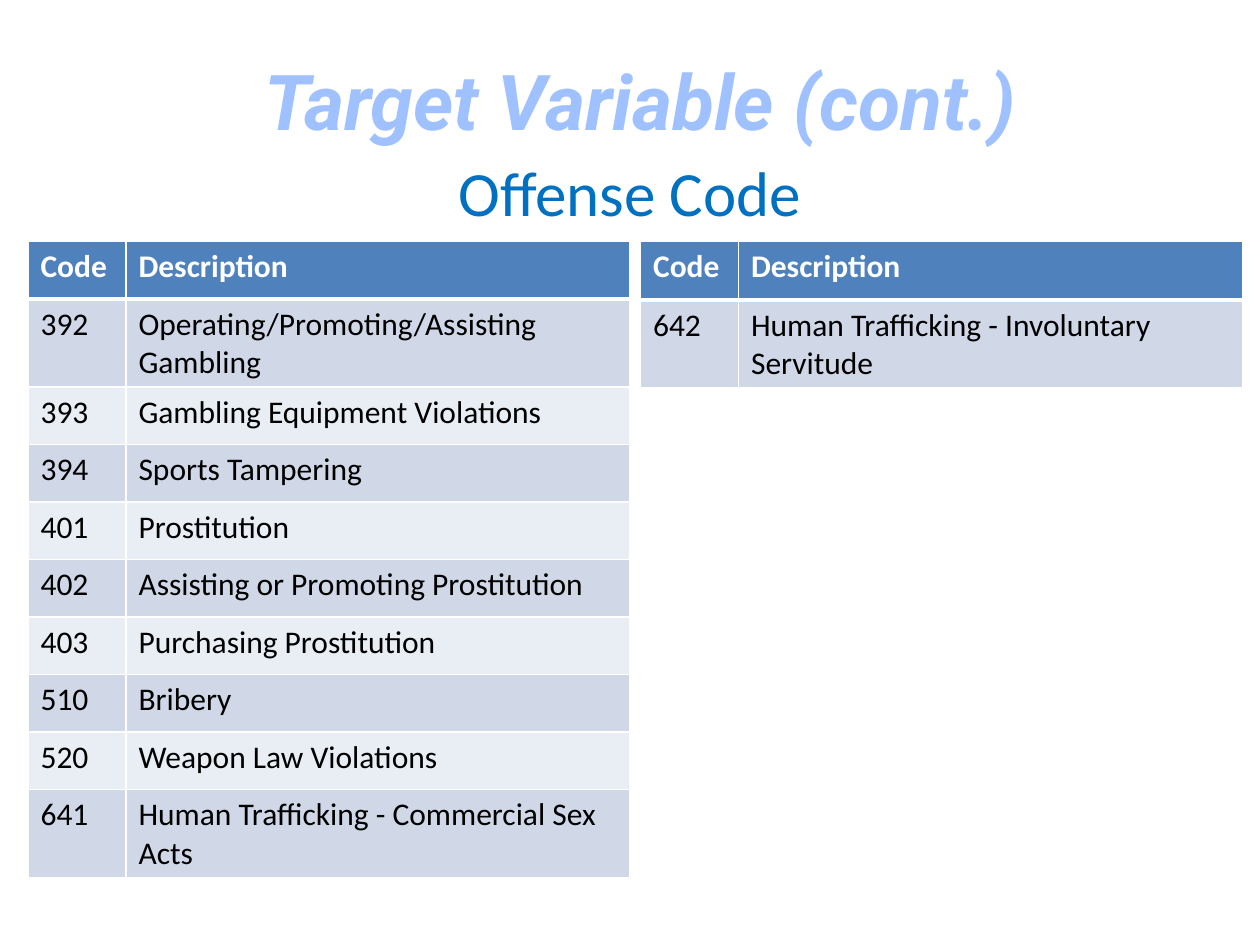
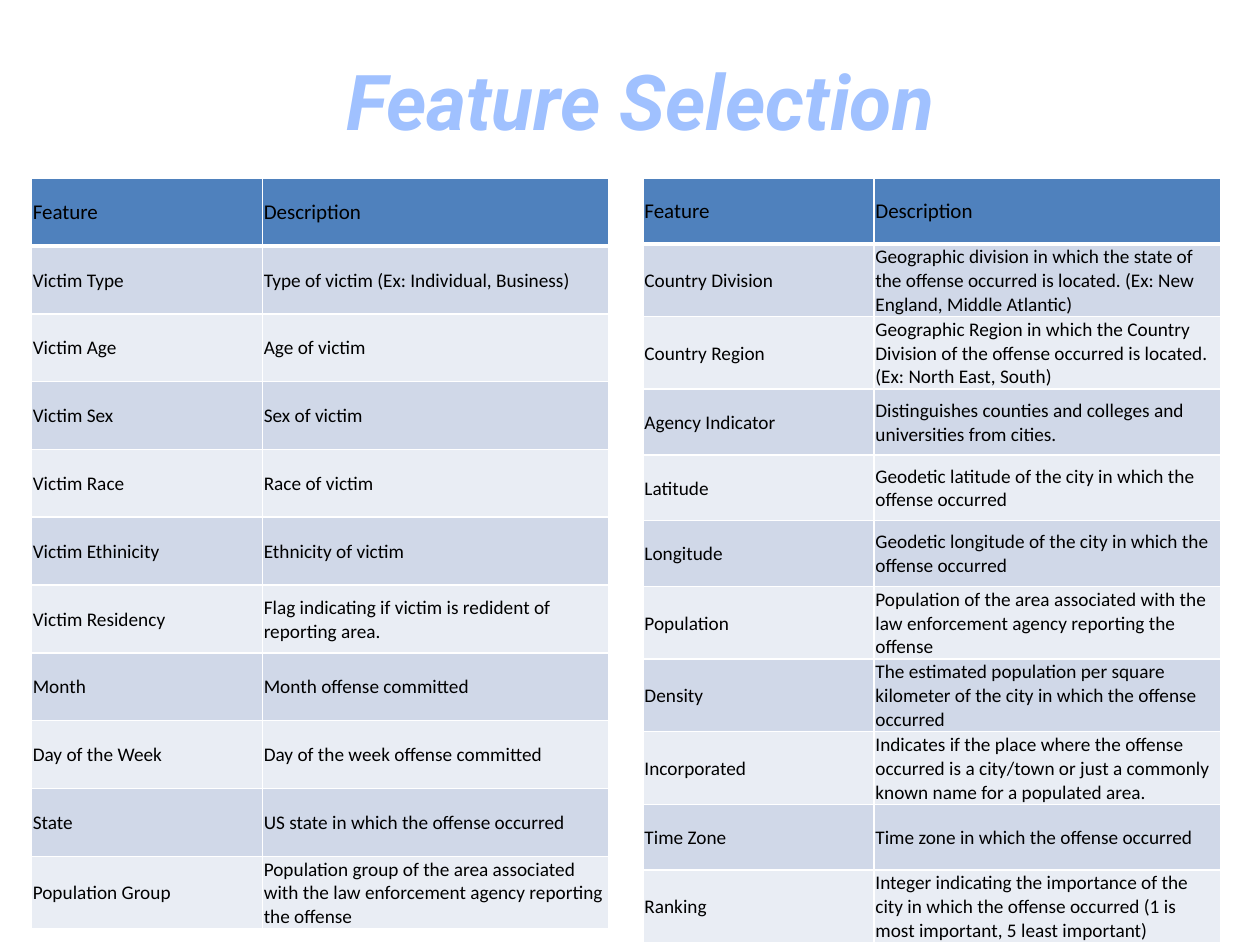
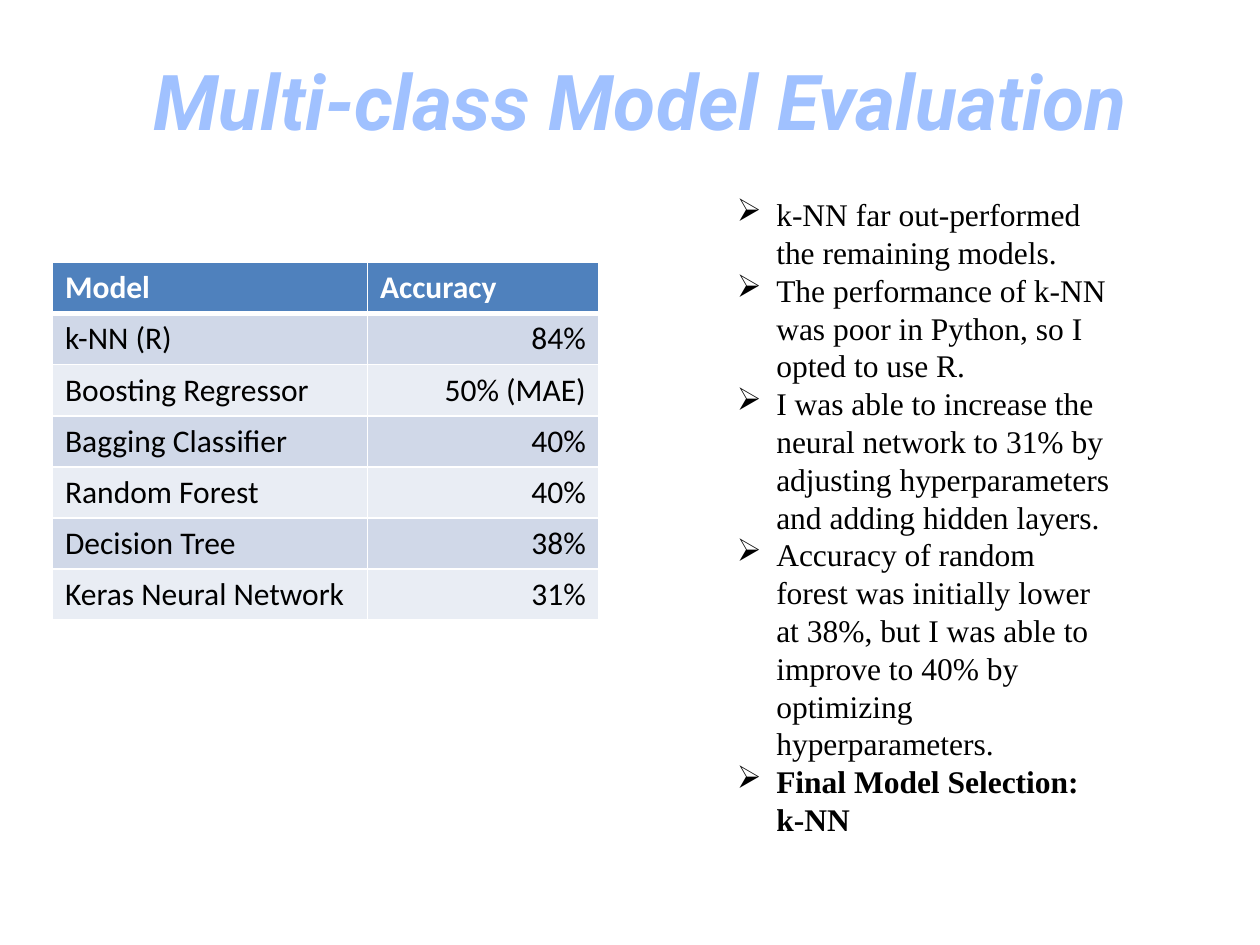
"""Build three slides on target codes, features and model results."""
from dataclasses import dataclass

import pptx
import pptx.dml.color
import pptx.enum.text
import pptx.oxml.ns
import pptx.util
from lxml import etree

Pt = pptx.util.Pt
ALIGN = pptx.enum.text.PP_ALIGN
ANCHOR = pptx.enum.text.MSO_ANCHOR
qn = pptx.oxml.ns.qn

WHITE, BLACK = "FFFFFF", "000000"
HEAD, BANDS = "4F81BD", ("D0D8E8", "E9EDF4")
PALE, BLUE = "A0C1FF", "0070C0"
THIN, THICK = 1, 3


@dataclass(frozen=True)
class Style:
    head: float
    body: float
    ink: str
    bold: bool
    inset: tuple[float, float, float, float]
    anchor: ANCHOR


@dataclass(frozen=True)
class Grid:
    left: float
    top: float
    cols: tuple[float, float]
    high: float
    rows: list[tuple[str, str]]
    style: Style
    last: ALIGN = ALIGN.LEFT


LARGE = Style(18, 18, WHITE, True, (7.2, 3.6, 7.2, 3.6), ANCHOR.TOP)
SMALL = Style(12, 11, BLACK, False, (0.75, 0.75, 0.75, 0), ANCHOR.MIDDLE)

CODES = ("Code", "Description")
TRAITS = ("Feature", "Description")

CODE_GRIDS = [
    Grid(16, 138, (56, 288), 32.85, [
        CODES,
        ("392", "Operating/Promoting/Assisting Gambling"),
        ("393", "Gambling Equipment Violations"),
        ("394", "Sports Tampering"),
        ("401", "Prostitution"),
        ("402", "Assisting or Promoting Prostitution"),
        ("403", "Purchasing Prostitution"),
        ("510", "Bribery"),
        ("520", "Weapon Law Violations"),
        ("641", "Human Trafficking - Commercial Sex Acts"),
    ], LARGE),
    Grid(366, 138, (56, 288), 33.4, [
        CODES,
        ("642", "Human Trafficking - Involuntary Servitude"),
    ], LARGE),
]

TRAIT_GRIDS = [
    Grid(18, 101.8, (132, 198), 38.75, [
        TRAITS,
        ("Victim Type", "Type of victim (Ex: Individual, Business)"),
        ("Victim Age", "Age of victim"),
        ("Victim Sex", "Sex of victim"),
        ("Victim Race", "Race of victim"),
        ("Victim Ethinicity", "Ethnicity of victim"),
        ("Victim Residency", "Flag indicating if victim is redident of reporting area."),
        ("Month", "Month offense committed"),
        ("Day of the Week", "Day of the week offense committed"),
        ("State", "US state in which the offense occurred"),
        ("Population Group", "Population group of the area associated with the law "
                             "enforcement agency reporting the offense"),
    ], SMALL),
    Grid(367.5, 101.8, (132, 198), 37.6, [
        TRAITS,
        ("Country Division", "Geographic division in which the state of the offense "
                             "occurred is located. (Ex: New England, Middle Atlantic)"),
        ("Country Region", "Geographic Region in which the Country Division of the "
                           "offense occurred is located. (Ex: North East, South)"),
        ("Agency Indicator", "Distinguishes counties and colleges and universities "
                             "from cities."),
        ("Latitude", "Geodetic latitude of the city in which the offense occurred"),
        ("Longitude", "Geodetic longitude of the city in which the offense occurred"),
        ("Population", "Population of the area associated with the law enforcement "
                       "agency reporting the offense"),
        ("Density", "The estimated population per square kilometer of the city in "
                    "which the offense occurred"),
        ("Incorporated", "Indicates if the place where the offense occurred is a "
                         "city/town or just a commonly known name for a populated area."),
        ("Time Zone", "Time zone in which the offense occurred"),
        ("Ranking", "Integer indicating the importance of the city in which the "
                    "offense occurred (1 is most important, 5 least important)"),
    ], SMALL),
]

MODEL_GRID = Grid(30, 150, (180, 132), 29.2, [
    ("Model", "Accuracy"),
    ("k-NN (R)", "84%"),
    ("Boosting Regressor", "50% (MAE)"),
    ("Bagging Classifier", "40%"),
    ("Random Forest", "40%"),
    ("Decision Tree", "38%"),
    ("Keras Neural Network", "31%"),
], LARGE, ALIGN.RIGHT)

NOTES = [
    "k-NN far out-performed the remaining models.",
    "The performance of k-NN was poor in Python, so I opted to use R.",
    "I was able to increase the neural network to 31% by adjusting "
    "hyperparameters and adding hidden layers.",
    "Accuracy of random forest was initially lower at 38%, but I was able to "
    "improve to 40% by optimizing hyperparameters.",
    "Final Model Selection: k-NN",
]


def tint(part, code: str) -> None:
    part.rgb = pptx.dml.color.RGBColor.from_string(code)


def write(par, text: str, size: float, code: str, face: str = "Calibri",
          bold: bool = False, slant: bool = False, align: ALIGN = ALIGN.LEFT) -> None:
    par.text = text
    par.alignment = align
    for run in par.runs:
        font = run.font
        font.size, font.name = Pt(size), face
        font.bold, font.italic = bold, slant
        tint(font.color, code)


def place(shape, left: float, top: float, width: float, height: float) -> None:
    shape.left, shape.top = Pt(left), Pt(top)
    shape.width, shape.height = Pt(width), Pt(height)


def start(deck, text: str):
    slide = deck.slides.add_slide(deck.slide_layouts[5])
    title = slide.shapes.title
    place(title, 60, 18, 612, 78.5)
    title.text_frame.vertical_anchor = ANCHOR.MIDDLE
    write(title.text_frame.paragraphs[0], text, 44, PALE, "Roboto", True, True, ALIGN.CENTER)
    return slide


def add_box(slide, left: float, top: float, width: float, height: float):
    frame = slide.shapes.add_textbox(Pt(left), Pt(top), Pt(width), Pt(height)).text_frame
    frame.word_wrap = True
    return frame


def edge(cell, side: str, width: float) -> None:
    props = cell._tc.get_or_add_tcPr()
    line = etree.SubElement(props, qn("a:ln" + side), w=str(Pt(width)))
    fill = etree.SubElement(line, qn("a:solidFill"))
    etree.SubElement(fill, qn("a:srgbClr"), val=WHITE)


def draw_cell(cell, text: str, row: int, col: int, grid: Grid) -> None:
    style, head = grid.style, row == 0
    cell.margin_left, cell.margin_top, cell.margin_right, cell.margin_bottom = map(
        Pt, style.inset)
    cell.vertical_anchor = style.anchor
    write(cell.text_frame.paragraphs[0], text,
          style.head if head else style.body,
          style.ink if head else BLACK,
          bold=head and style.bold,
          align=grid.last if col and not head else ALIGN.LEFT)
    for side in "LRTB":
        heavy = (row, side) in ((0, "B"), (1, "T"))
        edge(cell, side, THICK if heavy else THIN)
    cell.fill.solid()
    tint(cell.fill.fore_color, HEAD if head else BANDS[(row - 1) % 2])


def draw_grid(slide, grid: Grid) -> None:
    count = len(grid.rows)
    table = slide.shapes.add_table(
        count, len(grid.cols), Pt(grid.left), Pt(grid.top),
        Pt(sum(grid.cols)), Pt(grid.high * count)).table
    for col, width in zip(table.columns, grid.cols):
        col.width = Pt(width)
    for row, texts in enumerate(grid.rows):
        table.rows[row].height = Pt(grid.high)
        for col, text in enumerate(texts):
            draw_cell(table.cell(row, col), text, row, col, grid)


def draw_notes(slide) -> None:
    frame = add_box(slide, 414, 108, 228, 422)
    for num, text in enumerate(NOTES):
        par = frame.add_paragraph() if num else frame.paragraphs[0]
        write(par, text, 18, BLACK, "Times New Roman", bold=num == len(NOTES) - 1)
        props = par._p.get_or_add_pPr()
        props.set("marL", str(Pt(22.5)))
        props.set("indent", str(-Pt(22.5)))
        etree.SubElement(props, qn("a:buChar"), char="➢")


def main() -> None:
    deck = pptx.Presentation()
    deck.slide_width, deck.slide_height = Pt(720), Pt(540)

    slide = start(deck, "Target Variable (cont.)")
    frame = add_box(slide, 108, 84, 504, 60)
    write(frame.paragraphs[0], "Offense Code", 36, BLUE, align=ALIGN.CENTER)
    for grid in CODE_GRIDS:
        draw_grid(slide, grid)

    slide = start(deck, "Feature Selection")
    for grid in TRAIT_GRIDS:
        draw_grid(slide, grid)

    slide = start(deck, "Multi-class Model Evaluation")
    draw_grid(slide, MODEL_GRID)
    draw_notes(slide)

    deck.save("out.pptx")


if __name__ == "__main__":
    main()
